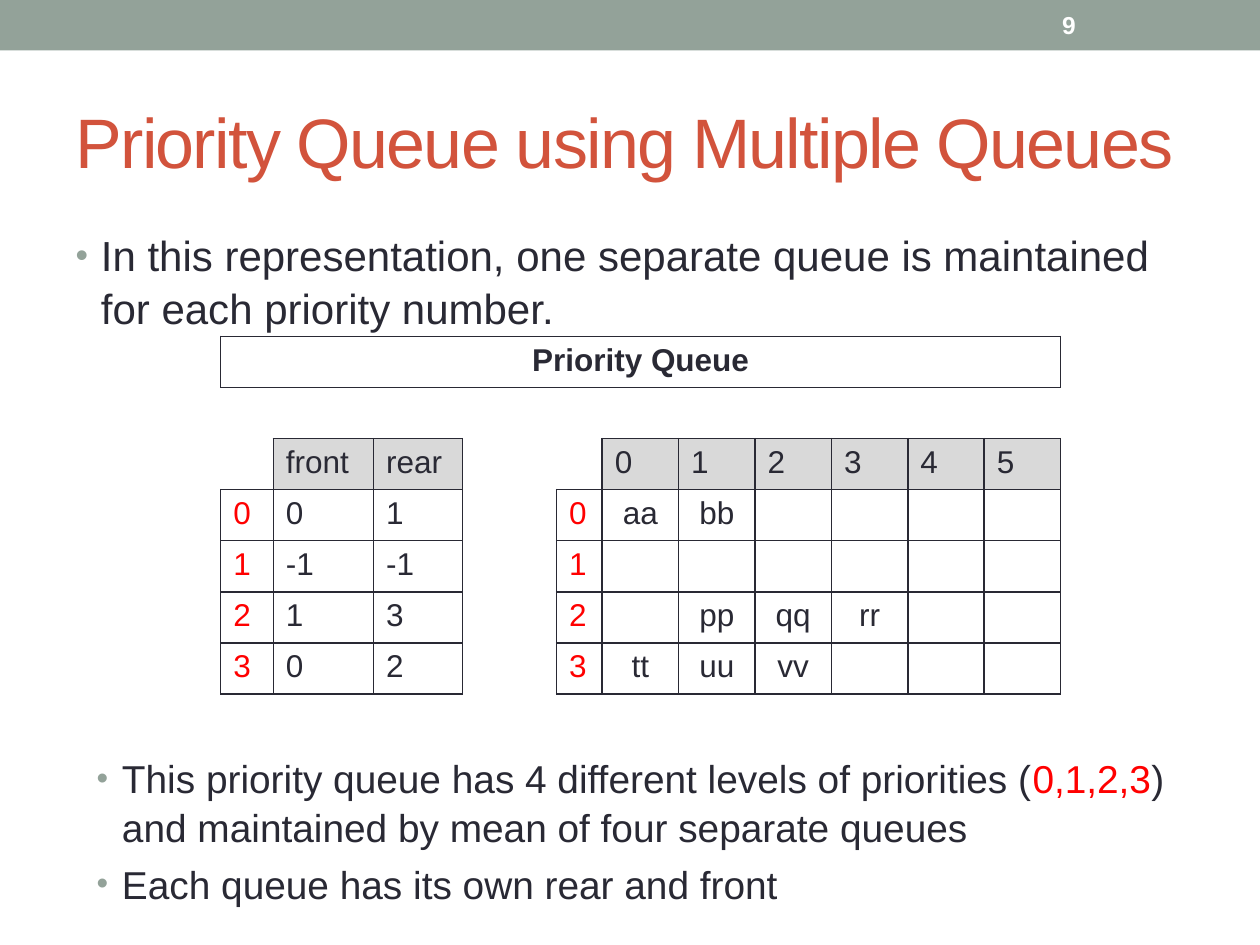
from lxml import etree
from pptx import Presentation
from pptx import util as u
from pptx.dml.color import RGBColor
from pptx.enum import shapes, text
from pptx.oxml import ns

COLORS = {"ink": "292934", "title": "D2533C", "sage": "93A299",
          "red": "FF0000", "white": "FFFFFF", "header": "D9D9D9"}
FONT = "Arial"
NO_GRID_STYLE = "{2D5ABB26-0587-4C30-8999-92F81FD0307C}"

TITLE = "Priority Queue using Multiple Queues"
INTRO = [[("In this representation, one separate queue is maintained "
           "for each priority number.", "ink")]]
NOTES = [
    [("This priority queue has 4 different levels of priorities (", "ink"),
     ("0,1,2,3", "red"),
     (") and maintained by mean of four separate queues", "ink")],
    [("Each queue has its own rear and front", "ink")],
]
TABLE_TITLE = "Priority Queue"
POINTER_NAMES = ["front", "rear"]
QUEUES = [  # front, rear, slots
    (0, 1, ["aa", "bb", "", "", "", ""]),
    (-1, -1, [""] * 6),
    (1, 3, ["", "pp", "qq", "rr", "", ""]),
    (0, 2, ["tt", "uu", "vv", "", "", ""]),
]
SLOTS = 6
COLUMN_WIDTHS = [1.06, 2.02, 1.79, 1.9, 0.92] + [1.54] * SLOTS
ROW_HEIGHT = 1.03
GAP_COLUMN, LABEL_COLUMNS, FIRST_SLOT = 3, (0, 4), 5


def rgb(name):
    return RGBColor.from_string(COLORS[name])


def place(shape, left, top, width, height):
    shape.left, shape.top = u.Cm(left), u.Cm(top)
    shape.width, shape.height = u.Cm(width), u.Cm(height)


def add_span(para, words, size, color, bold=False):
    span = para.add_run()
    span.text = words
    span.font.name, span.font.size, span.font.bold = FONT, u.Pt(size), bold
    span.font.color.rgb = rgb(color)
    return span


def set_frame(shape, anchor):
    frame = shape.text_frame
    frame.word_wrap = True
    frame.auto_size = text.MSO_AUTO_SIZE.NONE
    frame.vertical_anchor = anchor
    return frame


def add_bullets(shape, items, size):
    frame = set_frame(shape, text.MSO_ANCHOR.TOP)
    for number, item in enumerate(items):
        para = frame.add_paragraph() if number else frame.paragraphs[0]
        para.line_spacing = 1.05
        para.space_before = u.Pt(round(size * 0.2, 1))
        props = para._p.get_or_add_pPr()
        props.set("marL", str(u.Cm(0.51)))
        props.set("indent", str(-u.Cm(0.51)))
        color = etree.SubElement(props, ns.qn("a:buClr"))
        etree.SubElement(color, ns.qn("a:srgbClr"), val=COLORS["sage"])
        etree.SubElement(props, ns.qn("a:buSzPct"), val="85000")
        etree.SubElement(props, ns.qn("a:buFont"), typeface=FONT)
        etree.SubElement(props, ns.qn("a:buChar"), char="•")
        for words, color_name in item:
            add_span(para, words, size, color_name)


def is_boxed(row, column):
    """Tell whether a cell belongs to the heading or one of the two grids."""
    if not (0 <= row < len(QUEUES) + 3 and 0 <= column < len(COLUMN_WIDTHS)):
        return False
    if row == 0:
        return True
    if row == 1 or column == GAP_COLUMN:
        return False
    return row > 2 or column not in LABEL_COLUMNS


def set_borders(cell, row, column):
    """Draw each side that this cell or its neighbour needs."""
    props = cell._tc.get_or_add_tcPr()
    sides = [("L", 0, -1), ("R", 0, 1), ("T", -1, 0), ("B", 1, 0)]
    for position, (side, down, across) in enumerate(sides):
        line = etree.Element(ns.qn("a:ln" + side), w=str(u.Pt(1)))
        if is_boxed(row, column) or is_boxed(row + down, column + across):
            fill = etree.SubElement(line, ns.qn("a:solidFill"))
            etree.SubElement(fill, ns.qn("a:srgbClr"), val=COLORS["ink"])
        else:
            etree.SubElement(line, ns.qn("a:noFill"))
        props.insert(position, line)


def table_rows():
    width = len(COLUMN_WIDTHS)
    rows = [[TABLE_TITLE] + [""] * (width - 1), [""] * width,
            ["", *POINTER_NAMES, "", "", *range(SLOTS)]]
    for label, (front, rear, slots) in enumerate(QUEUES):
        rows.append([label, front, rear, "", label, *slots])
    return rows


def add_queue_table(page):
    rows = table_rows()
    frame = page.shapes.add_table(
        len(rows), len(COLUMN_WIDTHS), u.Cm(4.45), u.Cm(6.78),
        u.Cm(sum(COLUMN_WIDTHS)), u.Cm(ROW_HEIGHT * len(rows)))
    table = frame.table
    table.first_row = table.horz_banding = False
    table._tbl.tblPr.find(ns.qn("a:tableStyleId")).text = NO_GRID_STYLE
    for column, width in zip(table.columns, COLUMN_WIDTHS):
        column.width = u.Cm(width)
    for row, values in enumerate(rows):
        table.rows[row].height = u.Cm(ROW_HEIGHT)
        for column, value in enumerate(values):
            cell = table.cell(row, column)
            if row == 2 and is_boxed(row, column):
                cell.fill.solid()
                cell.fill.fore_color.rgb = rgb("header")
            else:
                cell.fill.background()
            set_borders(cell, row, column)
            para = cell.text_frame.paragraphs[0]
            para.font.size, para.font.name = u.Pt(18), FONT
            if value == "":
                continue
            if row == 0 or (row > 2 and column >= FIRST_SLOT):
                para.alignment = text.PP_ALIGN.CENTER
            color = "red" if column in LABEL_COLUMNS and row > 2 else "ink"
            add_span(para, str(value), 18, color, bold=row == 0)
    table.cell(0, 0).merge(table.cell(0, len(COLUMN_WIDTHS) - 1))


def main():
    deck = Presentation()
    deck.slide_width, deck.slide_height = u.Cm(25.4), u.Cm(19.05)
    page = deck.slides.add_slide(deck.slide_layouts[1])

    bar = page.shapes.add_shape(shapes.MSO_SHAPE.RECTANGLE, 0, 0,
                                deck.slide_width, u.Cm(1.02))
    bar.shadow.inherit = False
    bar.fill.solid()
    bar.fill.fore_color.rgb = rgb("sage")
    bar.line.fill.background()

    title = page.shapes.title
    place(title, 1.27, 1.47, 22.86, 2.74)
    para = set_frame(title, text.MSO_ANCHOR.MIDDLE).paragraphs[0]
    para.alignment = text.PP_ALIGN.LEFT
    span = add_span(para, TITLE, 40, "title")
    span.font._element.set("spc", "-100")

    body = page.placeholders[1]
    place(body, 1.27, 4.45, 22.86, 2.11)
    add_bullets(body, INTRO, 24)

    number = page.shapes.add_textbox(u.Cm(21.16), u.Cm(0.05), u.Cm(2.97), u.Cm(0.91))
    para = set_frame(number, text.MSO_ANCHOR.MIDDLE).paragraphs[0]
    add_span(para, "9", 14, "white", bold=True)

    add_queue_table(page)

    notes = page.shapes.add_textbox(u.Cm(1.7), u.Cm(15.04), u.Cm(22.86), u.Cm(3.18))
    add_bullets(notes, NOTES, 22.2)

    deck.save("out.pptx")


if __name__ == "__main__":
    main()
